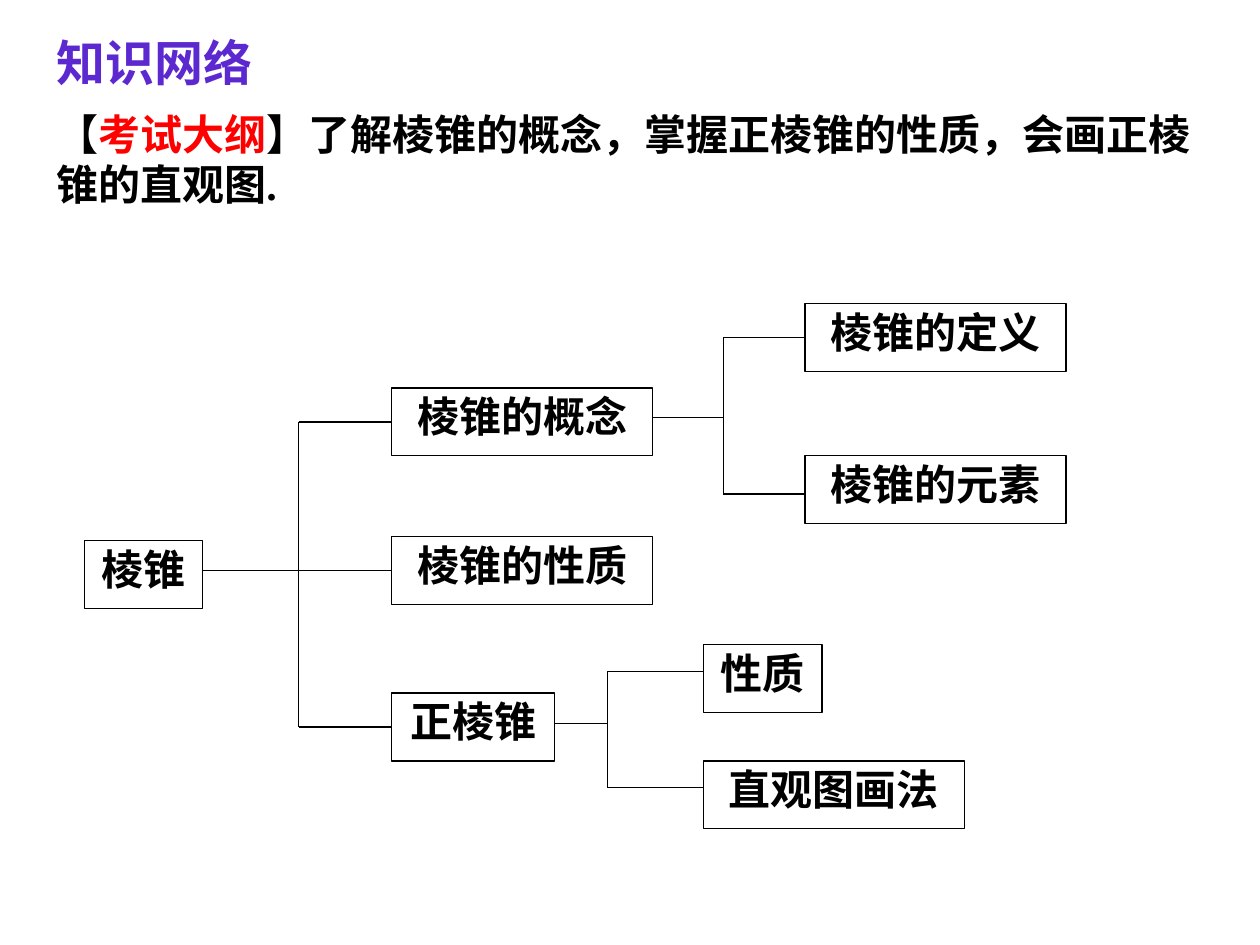
from dataclasses import dataclass
from typing import Optional

from lxml import etree
from pptx import Presentation
from pptx.dml.color import RGBColor
from pptx.enum.shapes import MSO_CONNECTOR, MSO_SHAPE
from pptx.enum.text import MSO_ANCHOR, PP_ALIGN
from pptx.oxml.ns import qn
from pptx.util import Cm, Pt

BLACK = RGBColor(0x00, 0x00, 0x00)
RED = RGBColor(0xFF, 0x00, 0x00)
VIOLET = RGBColor(0x5C, 0x28, 0xD0)
FONT = "Times New Roman"
BOX_HEIGHT = 1.37
LEFT_SIDE, RIGHT_SIDE = 1, 3


@dataclass(frozen=True)
class Box:
    """A topic box; lengths in centimetres."""
    text: str
    left: float
    top: float
    width: float = 5.26

    @property
    def right(self) -> float:
        return self.left + self.width

    @property
    def middle(self) -> float:
        return self.top + BOX_HEIGHT / 2


@dataclass(frozen=True)
class Twig:
    """A line from a spine to a box, at its middle unless y is given."""
    box: Box
    y: Optional[float] = None

    @property
    def height(self) -> float:
        return self.box.middle if self.y is None else self.y


@dataclass(frozen=True)
class Branch:
    """A stem from the parent, a vertical spine and its twigs."""
    parent: Box
    stem_y: float
    spine_x: float
    twigs: tuple[Twig, ...]
    through: Optional[Box] = None  # box that the stem runs on to


PYRAMID = Box("棱锥", 1.7, 10.9, 2.39)
CONCEPT = Box("棱锥的概念", 7.9, 7.82)
PROPERTIES = Box("棱锥的性质", 7.9, 10.82)
REGULAR = Box("正棱锥", 7.9, 13.97, 3.28)
DEFINITION = Box("棱锥的定义", 16.23, 6.12)
ELEMENTS = Box("棱锥的元素", 16.23, 9.19)
REGULAR_PROPERTIES = Box("性质", 14.18, 13, 2.39)
DRAWING = Box("直观图画法", 14.18, 15.34)
BOXES = (PYRAMID, CONCEPT, PROPERTIES, REGULAR, DEFINITION, ELEMENTS,
         REGULAR_PROPERTIES, DRAWING)

BRANCHES = (
    Branch(PYRAMID, PROPERTIES.middle, 6.02, (Twig(CONCEPT), Twig(REGULAR)), PROPERTIES),
    Branch(CONCEPT, 8.41, 14.58, (Twig(DEFINITION), Twig(ELEMENTS, 9.96))),
    Branch(REGULAR, 14.58, 12.24, (Twig(REGULAR_PROPERTIES, 13.54), Twig(DRAWING, 15.88))),
)


def format_run(run, size: float, color: RGBColor) -> None:
    run.font.name = FONT
    run.font.size = Pt(size)
    run.font.bold = True
    run.font.color.rgb = color


def add_text(slide, left: float, top: float, width: float, height: float,
             pieces: list[tuple[str, RGBColor]], size: float, anchor) -> None:
    text_frame = slide.shapes.add_textbox(Cm(left), Cm(top), Cm(width), Cm(height)).text_frame
    text_frame.word_wrap = True
    text_frame.vertical_anchor = anchor
    for text, color in pieces:
        run = text_frame.paragraphs[0].add_run()
        run.text = text
        format_run(run, size, color)


def add_box(slide, box: Box):
    shape = slide.shapes.add_shape(MSO_SHAPE.RECTANGLE, Cm(box.left), Cm(box.top),
                                   Cm(box.width), Cm(BOX_HEIGHT))
    shape.shadow.inherit = False
    shape.fill.background()
    shape.line.color.rgb = BLACK
    shape.line.width = Pt(0.75)
    text_frame = shape.text_frame
    text_frame.margin_left = text_frame.margin_right = text_frame.margin_bottom = 0
    text_frame.margin_top = Cm(0.05)
    text_frame.vertical_anchor = MSO_ANCHOR.TOP
    text_frame.text = box.text
    paragraph = text_frame.paragraphs[0]
    paragraph.alignment = PP_ALIGN.CENTER
    format_run(paragraph.runs[0], 24, BLACK)
    return shape


def add_line(slide, x1: float, y1: float, x2: float, y2: float):
    connector = slide.shapes.add_connector(MSO_CONNECTOR.STRAIGHT,
                                           Cm(x1), Cm(y1), Cm(x2), Cm(y2))
    connector.line.color.rgb = BLACK
    connector.line.width = Pt(0.75)
    etree.SubElement(connector._element.spPr, qn("a:effectLst"))
    return connector


def add_branch(slide, branch: Branch, shapes: dict) -> None:
    stem_end = branch.through.left if branch.through else branch.spine_x
    stem = add_line(slide, branch.parent.right, branch.stem_y, stem_end, branch.stem_y)
    if branch.through:
        stem.end_connect(shapes[branch.through], LEFT_SIDE)
    heights = [twig.height for twig in branch.twigs]
    add_line(slide, branch.spine_x, min(heights), branch.spine_x, max(heights))
    for twig in branch.twigs:
        line = add_line(slide, branch.spine_x, twig.height, twig.box.left, twig.height)
        if twig.y is None:
            line.end_connect(shapes[twig.box], LEFT_SIDE)


def main() -> None:
    presentation = Presentation()
    presentation.slide_width, presentation.slide_height = Cm(25.4), Cm(19.05)
    slide = presentation.slides.add_slide(presentation.slide_layouts[6])

    # Heading and syllabus
    add_text(slide, 0.89, 0.53, 5.61, 1.45, [("知识网络", VIOLET)], 28, MSO_ANCHOR.TOP)
    add_text(slide, 0.89, 1.88, 23.8, 2.46,
             [("【", BLACK), ("考试大纲", RED),
              ("】了解棱锥的概念，掌握正棱锥的性质，会画正棱锥的直观图.", BLACK)],
             24, MSO_ANCHOR.BOTTOM)

    # Knowledge tree
    shapes = {box: add_box(slide, box) for box in BOXES}
    for branch in BRANCHES:
        add_branch(slide, branch, shapes)

    presentation.save("out.pptx")


if __name__ == "__main__":
    main()
